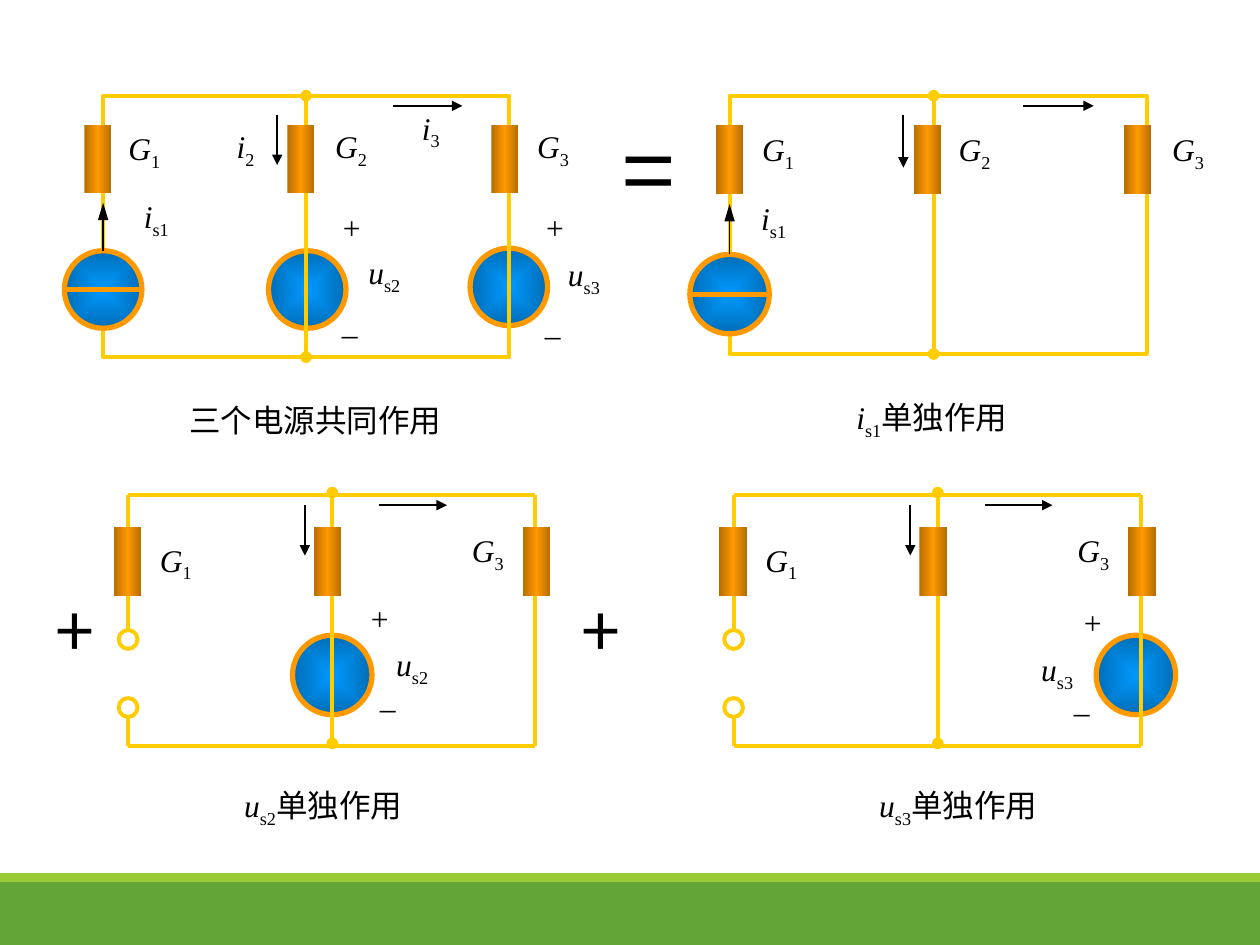
from dataclasses import dataclass

from lxml import etree
from pptx import Presentation
from pptx.dml.color import RGBColor
from pptx.enum import shapes, text
from pptx.oxml import ns
from pptx.util import Pt


@dataclass(frozen=True)
class Theme:
    wire: str = "FFCC00"
    source_edge: str = "FF9900"
    ink: str = "000000"
    band: str = "63A537"
    stripe: str = "99CB38"
    resistor: tuple = ((0, "B66D00"), (50, "FF9900"), (100, "B66D00"))
    source: tuple = ((0, "0099FF"), (100, "006DB6"))
    math_font: str = "Times New Roman"
    cjk_font: str = "Noto Sans CJK SC"
    title_font: str = "Montserrat"
    body: int = 18
    plus: int = 40
    equals: int = 54
    wire_width: float = 2.25
    source_width: float = 3
    arrow_width: float = 1


def child(parent, tag, **attributes):
    return etree.SubElement(parent, ns.qn(tag), attributes)


class Schematic:
    """Draws circuit elements on one page; lengths are in points."""

    def __init__(self, page, theme):
        self.page, self.theme = page, theme
        self.canvas = page.shapes

    def group(self):
        self.canvas = self.page.shapes.add_group_shape().shapes

    def shape(self, kind, x, y, width, height, fill=None, edge=None, weight=0):
        item = self.canvas.add_shape(kind, Pt(x), Pt(y), Pt(width), Pt(height))
        item.shadow.inherit = False
        if fill:
            item.fill.solid()
            item.fill.fore_color.rgb = RGBColor.from_string(fill)
        else:
            item.fill.background()
        if edge:
            item.line.color.rgb = RGBColor.from_string(edge)
            item.line.width = Pt(weight)
        else:
            item.line.fill.background()
        return item

    def rect(self, x, y, width, height, **style):
        return self.shape(shapes.MSO_SHAPE.RECTANGLE, x, y, width, height, **style)

    def circle(self, x, y, size, **style):
        return self.shape(shapes.MSO_SHAPE.OVAL, x, y, size, size, **style)

    def gradient(self, item, stops, radial=False):
        properties = item._element.spPr
        plain = properties.find(ns.qn("a:noFill"))
        fill = etree.Element(ns.qn("a:gradFill"), rotWithShape="1")
        properties.replace(plain, fill)
        stop_list = child(fill, "a:gsLst")
        for position, color in stops:
            stop = child(stop_list, "a:gs", pos=str(position * 1000))
            child(stop, "a:srgbClr", val=color)
        if radial:
            path = child(fill, "a:path", path="shape")
            child(path, "a:fillToRect", **dict.fromkeys("ltrb", "50000"))
        else:
            child(fill, "a:lin", ang="0", scaled="1")

    def resistor(self, x, y, width, height):
        self.gradient(self.rect(x, y, width, height), self.theme.resistor)

    def source(self, x, y, size):
        ball = self.circle(x, y, size, edge=self.theme.source_edge,
                           weight=self.theme.source_width)
        self.gradient(ball, self.theme.source, radial=True)

    def line(self, start, end, color, weight, head=None, tail=None, length="med"):
        line = self.canvas.add_connector(
            shapes.MSO_CONNECTOR.STRAIGHT, *map(Pt, (*start, *end)))
        line.line.color.rgb = RGBColor.from_string(color)
        line.line.width = Pt(weight)
        outline = line.line._get_or_add_ln()
        for tag, kind in (("a:headEnd", head), ("a:tailEnd", tail)):
            if kind:
                child(outline, tag, type=kind, w="med", len=length)
        child(line._element.spPr, "a:effectLst")
        return line

    def wire(self, start, end, dots=None):
        return self.line(start, end, self.theme.wire, self.theme.wire_width, dots, dots)

    def arrow(self, start, end, length="med"):
        self.line(start, end, self.theme.ink, self.theme.arrow_width,
                  tail="triangle", length=length)

    def current_source(self, x, y, size, arrow_tip):
        self.source(x, y, size)
        center = x + size / 2
        self.line((x, y + size / 2), (x + size, y + size / 2),
                  self.theme.source_edge, self.theme.source_width)
        self.arrow((center, y), (center, arrow_tip), length="lg")

    def text(self, x, y, width, height, parts, size=None, wrap=False,
             anchor=text.MSO_ANCHOR.MIDDLE, align=text.PP_ALIGN.CENTER):
        """parts holds (words, font, italic, subscript) for each run."""
        box = self.canvas.add_textbox(Pt(x), Pt(y), Pt(width), Pt(height))
        frame = box.text_frame
        frame.word_wrap = wrap
        frame.vertical_anchor = anchor
        para = frame.paragraphs[0]
        para.alignment = align
        for words, font, italic, subscript in parts:
            span = para.add_run()
            span.text = words
            span.font.name = font
            span.font.size = Pt(size or self.theme.body)
            span.font.italic = italic
            span.font.color.rgb = RGBColor.from_string(self.theme.ink)
            properties = span._r.get_or_add_rPr()
            child(properties, "a:ea", typeface=self.theme.cjk_font)
            if subscript:
                properties.set("baseline", "-25000")

    def symbol(self, x, y, width, name, caption=""):
        """A quantity such as G1: italic letter, subscript, optional caption."""
        font = self.theme.math_font
        parts = [(name[0], font, True, False), (name[1:], font, False, True)]
        if caption:
            parts.append((caption, self.theme.cjk_font, False, False))
        self.text(x, y, width, 29, parts, wrap=bool(caption))

    def sign(self, x, y, width, mark):
        self.text(x, y, width, 29, [(mark, self.theme.math_font, False, False)])

    def operator(self, x, y, width, height, mark, size, **layout):
        self.text(x, y, width, height,
                  [(mark, self.theme.cjk_font, False, False)], size, **layout)

    def polarity(self, plus, minus):
        self.sign(*plus, 25, "+")
        self.sign(*minus, 24, "–")

    def frame_circuit(self, x, width, height, middle, resistors, sizes,
                      symbols, arrows, voltage_sources=()):
        """Closed frame with a middle branch and three resistors."""
        self.group()
        top = 54.7
        for ball in voltage_sources:
            self.source(*ball)
        frame = self.rect(x, top, width, height, edge=self.theme.wire,
                          weight=self.theme.wire_width)
        branch = self.wire((middle, top), (middle, top + height), dots="oval")
        if abs(middle - x - width / 2) < 0.5:
            branch.begin_connect(frame, 0)
            branch.end_connect(frame, 2)
        for left in resistors:
            self.resistor(left, 71.3, *sizes)
        for label in symbols:
            self.symbol(*label)
        for start, end in arrows:
            self.arrow(start, end)

    def open_circuit(self, x, source_x, label, plus, minus):
        """Circuit with the current source replaced by open terminals."""
        self.group()
        top, bottom, middle, right = 283, 426.2, x + 116.7, x + 232.6
        self.source(source_x, 363, 45.4)
        self.wire((x, top), (right, top))
        self.wire((x, bottom), (right, bottom))
        self.wire((right, top), (right, bottom))
        self.wire((middle, 281.5), (middle, 424.8), dots="oval")
        self.wire((x, top), (x, 360))
        self.wire((x, bottom), (x, 409.7))
        for y in (360, 398.9):
            self.circle(x - 5.4, y, 10.8, edge=self.theme.wire,
                        weight=self.theme.wire_width)
        for offset in (-8.2, 106.1, 225.5):
            self.resistor(x + offset, 301, 15.8, 39.6)
        self.arrow((x + 101, 288.7), (x + 101, 317.5))
        self.arrow((x + 143.6, 288.7), (x + 182.2, 288.7))
        self.symbol(x - 2.6, 306.7, 59.8, "G1")
        self.symbol(x + 178.9, 301, 53.3, "G3")
        self.symbol(*label)
        self.polarity(plus, minus)


def main():
    deck = Presentation()
    deck.slide_width, deck.slide_height = Pt(720), Pt(540)
    theme = Theme()
    draw = Schematic(deck.slides.add_slide(deck.slide_layouts[6]), theme)

    # Footer bands
    draw.rect(0, 504, 720, 36, fill=theme.band)
    draw.rect(0, 499, 720, 5, fill=theme.stripe)

    # Captions and operators
    draw.text(100.1, 225.4, 159.8, 28.8,
              [("三个电源共同作用", theme.title_font, False, False)])
    for x, y, width, name in ((481, 225.4, 103, "is1"), (131, 447.1, 107.3, "us2"),
                              (493.9, 447.1, 107.3, "us3")):
        draw.symbol(x, y, width, name, "单独作用")
    draw.operator(348.5, 60.5, 39.6, 72, "=", theme.equals, wrap=True,
                  anchor=text.MSO_ANCHOR.TOP, align=text.PP_ALIGN.LEFT)
    for x in (20.2, 321.1):
        draw.operator(x, 331.9, 44.6, 55.4, "+", theme.plus)

    # Single voltage source circuits
    draw.open_circuit(419.2, 626.4, (586.8, 369.4, 34.6, "us3"),
                      (612, 340.6), (606.2, 391.7))
    draw.open_circuit(73.2, 167.2, (218.2, 366.5, 34.6, "us2"),
                      (204.5, 338.4), (209.5, 389.5))

    # All sources together
    draw.frame_circuit(
        59, 231.8, 149.4, 175, (48.2, 164.2, 280.8), (15.4, 38.9),
        (("G" + "1", 0)[:0] or (53.3, 71.3, 58.3, "G1"), (74.2, 110.2, 30.2, "is1"),
         (175, 70.6, 51.1, "G2"), (202.3, 142.6, 34.6, "us2"),
         (290.9, 70.6, 50.4, "G3"), (307.4, 143.3, 52.6, "us3"),
         (127.4, 70.6, 25.9, "i2"), (233.3, 59.8, 25.9, "i3")),
        (((158.4, 65.5), (158.4, 94.3)), ((224.6, 60.5), (264.2, 60.5))),
        ((268.6, 141.8, 44.3), (153.4, 143.3, 44.3)))
    draw.polarity((188.6, 115.2), (187.9, 175.7))
    draw.polarity((304.6, 115.2), (303.8, 176.4))
    draw.current_source(36.8, 143.3, 44.3, 115.9)

    # Current source alone
    draw.frame_circuit(
        416.9, 238.3, 147.6, 533.5, (409, 522, 642.2), (15.8, 39.6),
        ((414.7, 72, 59.8, "G1"), (427, 111.6, 30.2, "is1"),
         (533.5, 72, 46.8, "G2"), (652.3, 72, 53.3, "G3")),
        (((516.2, 65.5), (516.2, 95.8)), ((584.6, 60.5), (625, 60.5))))
    draw.current_source(394.2, 145.4, 45.4, 116.6)

    deck.save("out.pptx")


if __name__ == "__main__":
    main()
